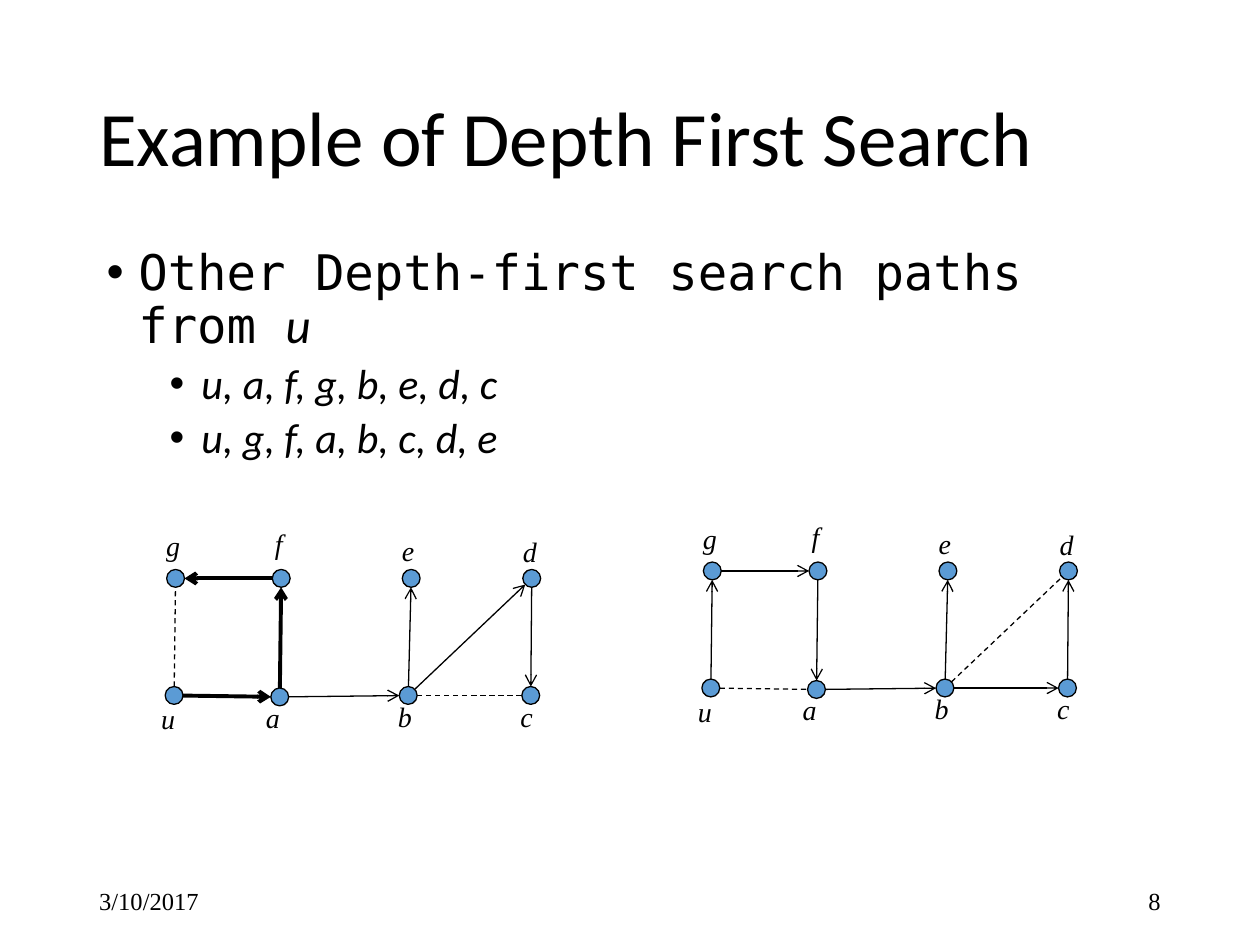
import math
from dataclasses import dataclass

import pptx
import pptx.dml.color
import pptx.enum.dml
import pptx.enum.shapes
import pptx.enum.text
import pptx.oxml
import pptx.oxml.ns
import pptx.util

Cm = pptx.util.Cm
Pt = pptx.util.Pt
Align = pptx.enum.text.PP_ALIGN
Anchor = pptx.enum.text.MSO_ANCHOR


@dataclass(frozen=True)
class Theme:
    ink: str = "000000"
    node: str = "5B9BD5"
    sans: str = "Calibri"
    mono: str = "DejaVu Sans Mono"
    serif: str = "Times New Roman"
    title: int = 44
    bullet: int = 28
    sub: int = 24
    label: int = 16
    footer: int = 14
    thin: float = 0.75
    thick: float = 2.25
    spacing: float = 0.9
    dot: float = 0.36


NODES = {
    "u": ((0, 0), (-0.33, 0.18)),
    "a": ((2.13, 0.03), (1.78, 0.15)),
    "b": ((4.72, 0), (4.44, 0.13)),
    "c": ((7.19, 0), (6.91, 0.13)),
    "d": ((7.21, -2.36), (6.96, -3.18)),
    "e": ((4.78, -2.36), (4.52, -3.2)),
    "f": ((2.16, -2.36), (1.96, -3.35)),
    "g": ((0.03, -2.36), (-0.23, -3.3)),
}
GRAPHS = [
    ((14.15, 13.69), {"thin": "ug gf fa ab be bc cd", "dash": "ua bd"}),
    ((3.33, 13.84), {"thin": "ab be bd dc", "thick": "ua af fg", "dash": "ug bc"}),
]


class Deck:
    """Draws styled elements on the current slide."""

    def __init__(self, prs, theme):
        self.theme = theme
        self.s = prs.slides.add_slide(prs.slide_layouts[5])

    def color(self, value):
        return pptx.dml.color.RGBColor.from_string(value)

    def run(self, p, text, font, size, italic=False):
        r = p.add_run()
        r.text = text
        r.font.name = font
        r.font.size = Pt(size)
        r.font.italic = italic
        r.font.color.rgb = self.color(self.theme.ink)

    def title(self, text, x, y, w, h):
        sp = self.s.shapes.title
        sp.left, sp.top, sp.width, sp.height = map(Cm, (x, y, w, h))
        tf = sp.text_frame
        tf.word_wrap = True
        tf.vertical_anchor = Anchor.MIDDLE
        p = tf.paragraphs[0]
        p.alignment = Align.LEFT
        p.line_spacing = self.theme.spacing
        self.run(p, text, self.theme.sans, self.theme.title)

    def box(self, x, y, w, h, anchor=Anchor.TOP):
        sp = self.s.shapes.add_textbox(*map(Cm, (x, y, w, h)))
        tf = sp.text_frame
        tf.word_wrap = True
        tf.vertical_anchor = anchor
        return tf

    def footer(self, text, x, align):
        p = self.box(x, 17.65, 5.72, 1.02, Anchor.MIDDLE).paragraphs[0]
        p.alignment = align
        self.run(p, text, self.theme.serif, self.theme.footer)

    def bullets(self, items, x, y, w, h):
        tf = self.box(x, y, w, h)
        for i, (level, runs) in enumerate(items):
            p = tf.add_paragraph() if i else tf.paragraphs[0]
            p.level = level
            pr = p._p.get_or_add_pPr()
            pr.set("marL", str(Cm(0.64 + 1.27 * level)))
            pr.set("indent", str(-Cm(0.64)))
            for tag, key, value in (("buFont", "typeface", "Arial"), ("buChar", "char", "•")):
                el = pptx.oxml.parse_xml(f"<a:{tag} {pptx.oxml.ns.nsdecls('a')}/>")
                el.set(key, value)
                pr.append(el)
            p.line_spacing = self.theme.spacing
            if i:
                p.space_before = Pt(5)
            for r in runs:
                self.run(p, *r)

    def node(self, x, y):
        d = self.theme.dot
        oval = pptx.enum.shapes.MSO_SHAPE.OVAL
        sp = self.s.shapes.add_shape(oval, *map(Cm, (x, y, d, d)))
        sp.shadow.inherit = False
        sp.fill.solid()
        sp.fill.fore_color.rgb = self.color(self.theme.node)
        sp.line.color.rgb = self.color(self.theme.ink)
        sp.line.width = Pt(self.theme.thin)

    def label(self, text, x, y):
        tf = self.box(x, y, 0.89, 0.94)
        tf.auto_size = pptx.enum.text.MSO_AUTO_SIZE.SHAPE_TO_FIT_TEXT
        self.run(tf.paragraphs[0], text, self.theme.serif, self.theme.label, True)

    def edge(self, start, end, kind):
        radius = self.theme.dot / 2
        (x1, y1), (x2, y2) = ((x + radius, y + radius) for x, y in (start, end))
        ratio = radius / math.dist(start, end)
        dx, dy = (x2 - x1) * ratio, (y2 - y1) * ratio
        ends = map(Cm, (x1 + dx, y1 + dy, x2 - dx, y2 - dy))
        sp = self.s.shapes.add_connector(pptx.enum.shapes.MSO_CONNECTOR.STRAIGHT, *ends)
        sp.line.color.rgb = self.color(self.theme.ink)
        sp.line.width = Pt(self.theme.thick if kind == "thick" else self.theme.thin)
        ns = pptx.oxml.ns.nsdecls("a")
        if kind == "dash":
            sp.line.dash_style = pptx.enum.dml.MSO_LINE.DASH
        else:
            ln = sp.line._get_or_add_ln()
            ln.append(pptx.oxml.parse_xml(f'<a:tailEnd {ns} type="arrow"/>'))
        sp._element.spPr.append(pptx.oxml.parse_xml(f"<a:effectLst {ns}/>"))

    def graph(self, origin, edges):
        def place(offset):
            return origin[0] + offset[0], origin[1] + offset[1]

        for dot, _ in NODES.values():
            self.node(*place(dot))
        for kind, pairs in edges.items():
            for start, end in pairs.split():
                self.edge(place(NODES[start][0]), place(NODES[end][0]), kind)
        for name, (_, label) in NODES.items():
            self.label(name, *place(label))


def main():
    prs = pptx.Presentation()
    prs.slide_width, prs.slide_height = Cm(25.4), Cm(19.05)
    t = Theme()
    deck = Deck(prs, t)
    deck.footer("3/10/2017", 1.75, Align.LEFT)
    deck.footer("8", 17.93, Align.RIGHT)
    deck.title("Example of Depth First Search", 1.75, 1.02, 21.89, 3.68)
    deck.bullets([
        (0, [("Other Depth-first search paths from ", t.mono, t.bullet),
             ("u", t.sans, t.bullet, True)]),
        (1, [("u, a, f, g, b, e, d, c", t.sans, t.sub, True)]),
        (1, [("u, g, f, a, b, c, d, e", t.sans, t.sub, True)]),
    ], 1.9, 4.88, 21.59, 5.21)
    for origin, edges in GRAPHS:
        deck.graph(origin, edges)
    prs.save("out.pptx")


if __name__ == "__main__":
    main()
